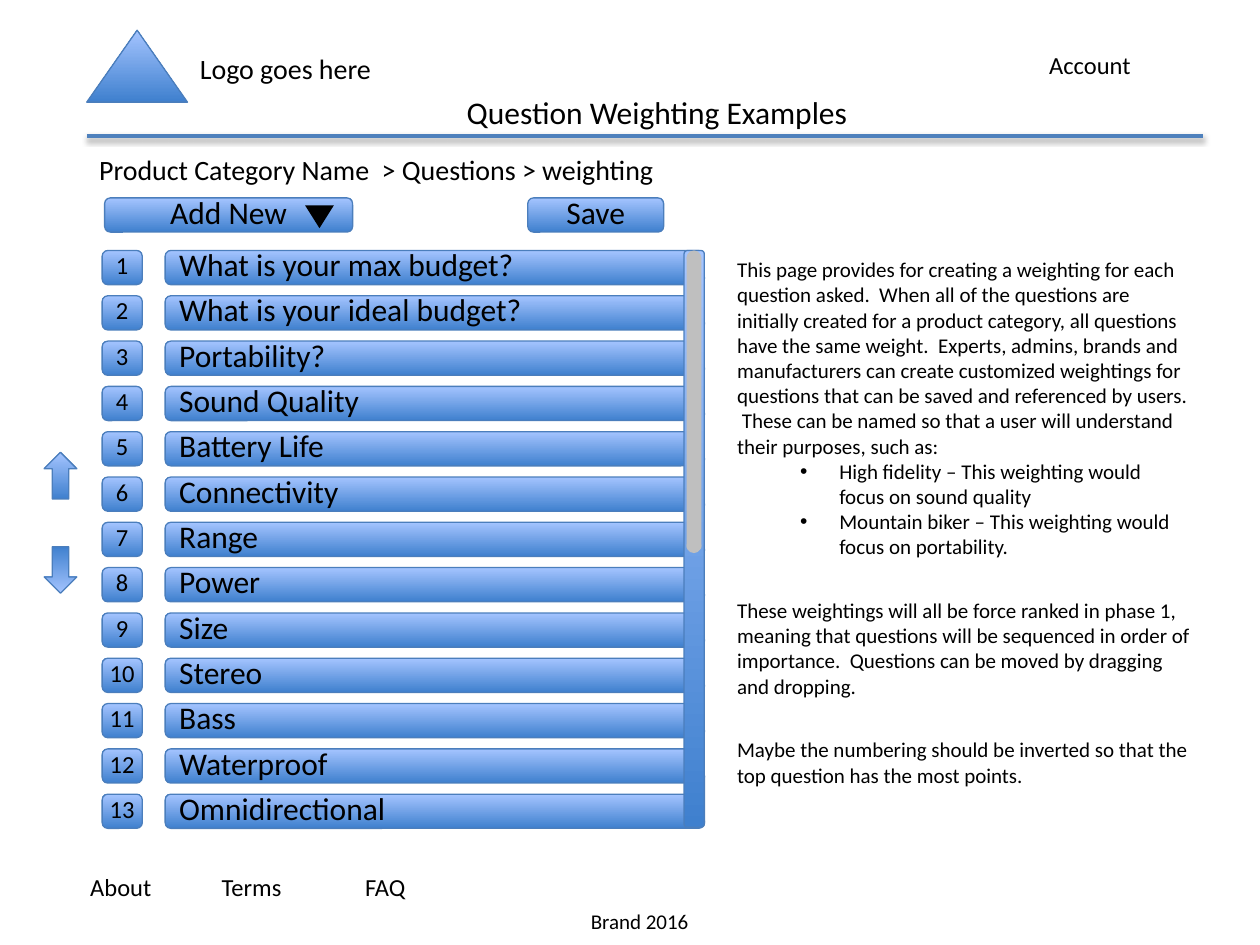
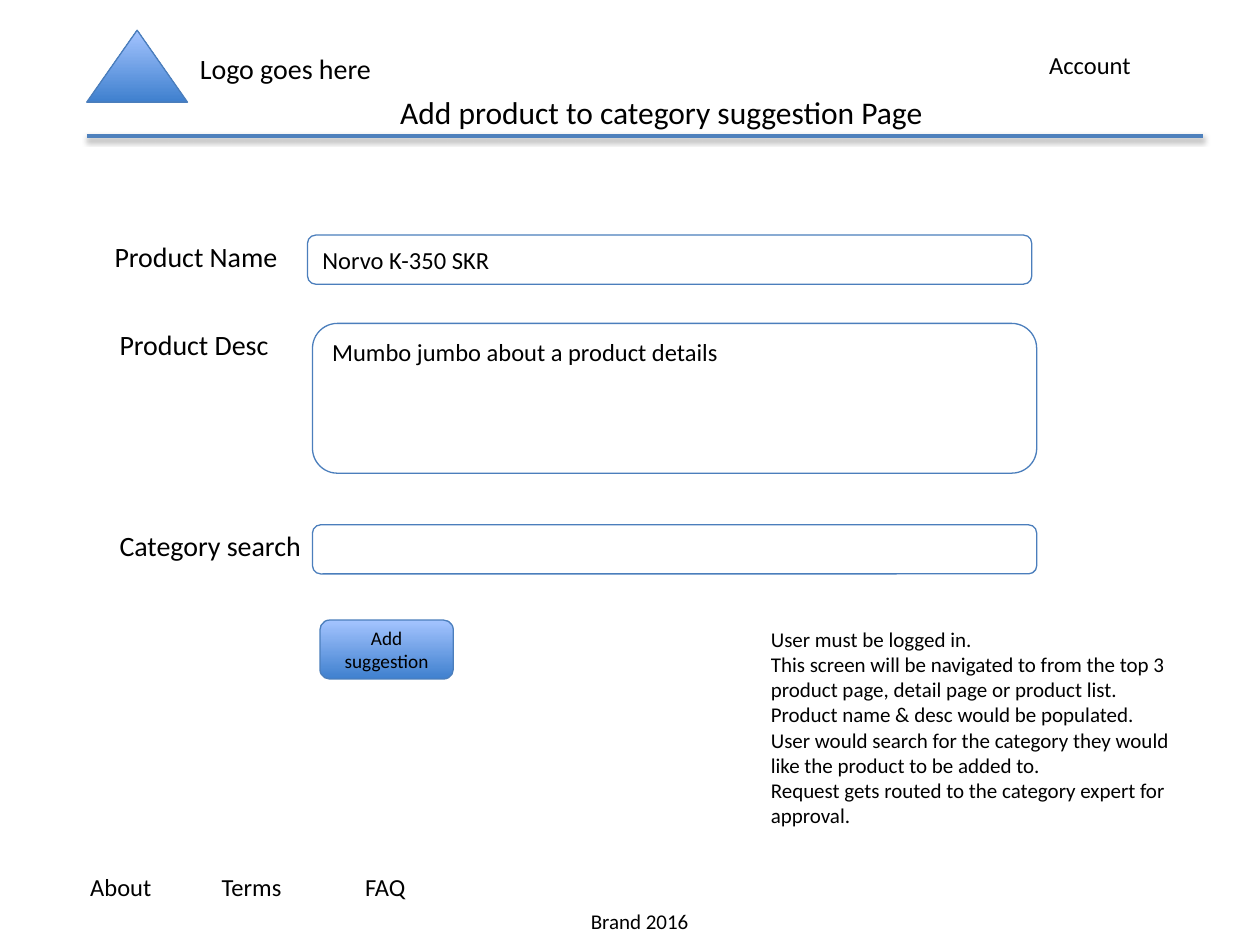
import lxml.etree
import pptx
import pptx.dml.color
import pptx.enum.shapes
import pptx.enum.text
import pptx.oxml
import pptx.oxml.ns
import pptx.util

Cm = pptx.util.Cm
Pt = pptx.util.Pt
rgb = pptx.dml.color.RGBColor.from_string
qn = pptx.oxml.ns.qn
SHAPE = pptx.enum.shapes.MSO_SHAPE
ALIGN = pptx.enum.text.PP_ALIGN
ANCHOR = pptx.enum.text.MSO_ANCHOR

FONT = "Calibri"
BLACK = "000000"
GREY = "BFBFBF"
DARK_BLUE = "3F80CE"
LIGHT_BLUE = "A4C4FF"
OUTLINE = "4B7EBC"
RULE = "4F81BD"
GRADIENT = (DARK_BLUE, LIGHT_BLUE)


def add_shape(shapes, kind, place, fill=GRADIENT, outline=OUTLINE):
    shape = shapes.add_shape(kind, *map(Cm, place))
    shape.shadow.inherit = False
    if fill is None:
        shape.fill.background()
    elif fill == GRADIENT:
        shape.fill.gradient()
        shape.fill.gradient_angle = 90
        for stop, colour, position in zip(shape.fill.gradient_stops, GRADIENT, (0, 1)):
            stop.color.rgb = rgb(colour)
            stop.position = position
    else:
        shape.fill.solid()
        shape.fill.fore_color.rgb = rgb(fill)
    if outline:
        shape.line.color.rgb = rgb(outline)
        shape.line.width = Pt(0.75)
    else:
        shape.line.fill.background()
    return shape


def write(box, lines, size, align=ALIGN.LEFT, wrap=True, anchor=ANCHOR.TOP, spacing=None):
    frame = box.text_frame
    frame.text = "\n".join(lines)
    frame.word_wrap = wrap
    frame.vertical_anchor = anchor
    for para in frame.paragraphs:
        para.alignment = align
        para.line_spacing = spacing
        para.font.size = Pt(size)
        para.font.name = FONT
        para.font.color.rgb = rgb(BLACK)
    return frame


deck = pptx.Presentation()
deck.slide_width = Cm(25.4)
deck.slide_height = Cm(19.05)

shared_texts = [
    ("Account", 14, (20.9, 0.89, 2.64, 0.86)),
    ("About", 14, (1.57, 17.45, 2.24, 0.86)),
    ("Terms", 14, (4.22, 17.45, 2.24, 0.86)),
    ("FAQ", 14, (7.11, 17.45, 2.24, 0.86)),
    ("Logo goes here", 16, (3.78, 0.91, 4.4, 0.94)),
    ("Brand 2016", 12, (11.66, 18.19, 4.19, 0.76)),
]
titles = [
    ("Question Weighting Examples", (9.09, 1.75, 8.31, 1.02)),
    ("Add product to category suggestion Page", (7.11, 1.75, 12.45, 1.02)),
]

pages = []
for title, title_place in titles:
    page = deck.slides.add_slide(deck.slide_layouts[6])
    pages.append(page)
    for text, size, place in shared_texts:
        write(page.shapes.add_textbox(*map(Cm, place)), [text], size)
    add_shape(page.shapes, SHAPE.ISOSCELES_TRIANGLE, (1.75, 0.61, 2.03, 1.45))
    rule = page.shapes.add_connector(
        pptx.enum.shapes.MSO_CONNECTOR.STRAIGHT, Cm(1.75), Cm(2.74), Cm(24.26), Cm(2.74))
    rule.line.color.rgb = rgb(RULE)
    rule.line.width = Pt(2)
    effects = lxml.etree.SubElement(rule.element.spPr, qn("a:effectLst"))
    shadow = lxml.etree.SubElement(
        effects, qn("a:outerShdw"), blurRad=str(Pt(3.1)), dist=str(Pt(1.8)),
        dir="5400000", rotWithShape="0")
    shade = lxml.etree.SubElement(shadow, qn("a:srgbClr"), val=BLACK)
    lxml.etree.SubElement(shade, qn("a:alpha"), val="35000")
    write(page.shapes.add_textbox(*map(Cm, title_place)), [title], 18, ALIGN.CENTER, wrap=False)

weighting, suggestion = pages

shapes = weighting.shapes
write(shapes.add_textbox(Cm(1.75), Cm(2.95), Cm(17.09), Cm(0.94)),
      ["Product Category Name  > Questions > weighting"], 16)

notes = write(shapes.add_textbox(Cm(14.61), Cm(5.05), Cm(9.65), Cm(10.52)), [
    "This page provides for creating a weighting for each question asked.  When all of the "
    "questions are initially created for a product category, all questions have the same "
    "weight.  Experts, admins, brands and manufacturers can create customized weightings for "
    "questions that can be saved and referenced by users.  These can be named so that a user "
    "will understand their purposes, such as:",
    "High fidelity – This weighting would focus on sound quality",
    "Mountain biker – This weighting would focus on portability.",
    "These weightings will all be force ranked in phase 1, meaning that questions will be "
    "sequenced in order of importance.  Questions can be moved by dragging and dropping.",
    "Maybe the numbering should be inverted so that the top question has the most points.",
], 12)
for para in notes.paragraphs[1:3]:
    para.level = 1
    properties = para._p.get_or_add_pPr()
    properties.set("marL", str(Cm(2.06)))
    properties.set("indent", str(Cm(-0.79)))
    lxml.etree.SubElement(properties, qn("a:buFont"), typeface="Arial")
    lxml.etree.SubElement(properties, qn("a:buChar"), char="•")
    properties.append(properties.find(qn("a:defRPr")))
for para in notes.paragraphs[3:]:
    para.space_before = Pt(22)

add_new = shapes.add_group_shape().shapes
for parent, text, left, width in [(add_new, "Add New", 2.11, 5), (shapes, "Save", 10.64, 2.74)]:
    button = add_shape(parent, SHAPE.ROUNDED_RECTANGLE, (left, 3.99, width, 0.69))
    write(button, [text], 18, ALIGN.CENTER, anchor=ANCHOR.MIDDLE, spacing=0.8)
marker = add_shape(add_new, SHAPE.ISOSCELES_TRIANGLE, (6.15, 4.14, 0.58, 0.46), BLACK, None)
marker.rotation = 180

questions = [
    "What is your max budget?", "What is your ideal budget?", "Portability?", "Sound Quality",
    "Battery Life", "Connectivity", "Range", "Power", "Size", "Stereo", "Bass", "Waterproof",
    "Omnidirectional",
]
first_top, last_top = 5.05, 16.01
pitch = (last_top - first_top) / (len(questions) - 1)
for index, question in enumerate(questions):
    top = first_top + index * pitch
    bar = add_shape(shapes, SHAPE.ROUNDED_RECTANGLE, (3.33, top, 10.87, 0.69))
    write(bar, [question], 18, anchor=ANCHOR.MIDDLE, spacing=0.8)
    rank = add_shape(shapes, SHAPE.ROUNDED_RECTANGLE, (2.06, top, 0.81, 0.69))
    write(rank, [str(index + 1)], 14, ALIGN.CENTER, False, ANCHOR.MIDDLE, 0.8)

for top, rotation in [(9.12, 0), (11.02, 180)]:
    arrow = add_shape(shapes, SHAPE.UP_ARROW, (0.89, top, 0.66, 0.94))
    arrow.rotation = rotation

scrollbar = shapes.add_group_shape().shapes
add_shape(scrollbar, SHAPE.ROUNDED_RECTANGLE, (13.79, 5.05, 0.41, 11.63))
add_shape(scrollbar, SHAPE.ROUNDED_RECTANGLE, (13.84, 5.16, 0.3, 5.92), GREY, None)
for top in (5.05, 10.85):
    add_shape(scrollbar, SHAPE.OVAL, (13.84, top, 0.3, 0.3), GREY, None)

shapes = suggestion.shapes
fields = [
    ("Product Name", 2.06, 4.7, 6.2, 0.99, "Norvo K-350 SKR", ANCHOR.MIDDLE),
    ("Product Desc", 2.16, 6.48, 6.3, 3.02, "Mumbo jumbo about a product details", ANCHOR.TOP),
    ("Category search", 2.16, 10.54, 6.3, 0.99, None, None),
]
for label, label_left, top, field_left, height, value, anchor in fields:
    write(shapes.add_textbox(Cm(label_left), Cm(top), Cm(19.38), Cm(1.07)), [label], 16)
    field = add_shape(
        shapes, SHAPE.ROUNDED_RECTANGLE, (field_left, top + 0.04, 14.6, height), None)
    if value:
        write(field, [value], 14, anchor=anchor)

button = add_shape(shapes, SHAPE.ROUNDED_RECTANGLE, (6.45, 12.5, 2.69, 1.19))
write(button, ["Add suggestion"], 11, ALIGN.CENTER, anchor=ANCHOR.MIDDLE)

write(shapes.add_textbox(Cm(15.29), Cm(12.5), Cm(8.66), Cm(4.37)), [
    "User must be logged in.",
    "This screen will be navigated to from the top 3 product page, detail page or product list.",
    "Product name & desc would be populated.",
    "User would search for the category they would like the product to be added to.",
    "Request gets routed to the category expert for approval.",
], 12)

deck.save("out.pptx")
